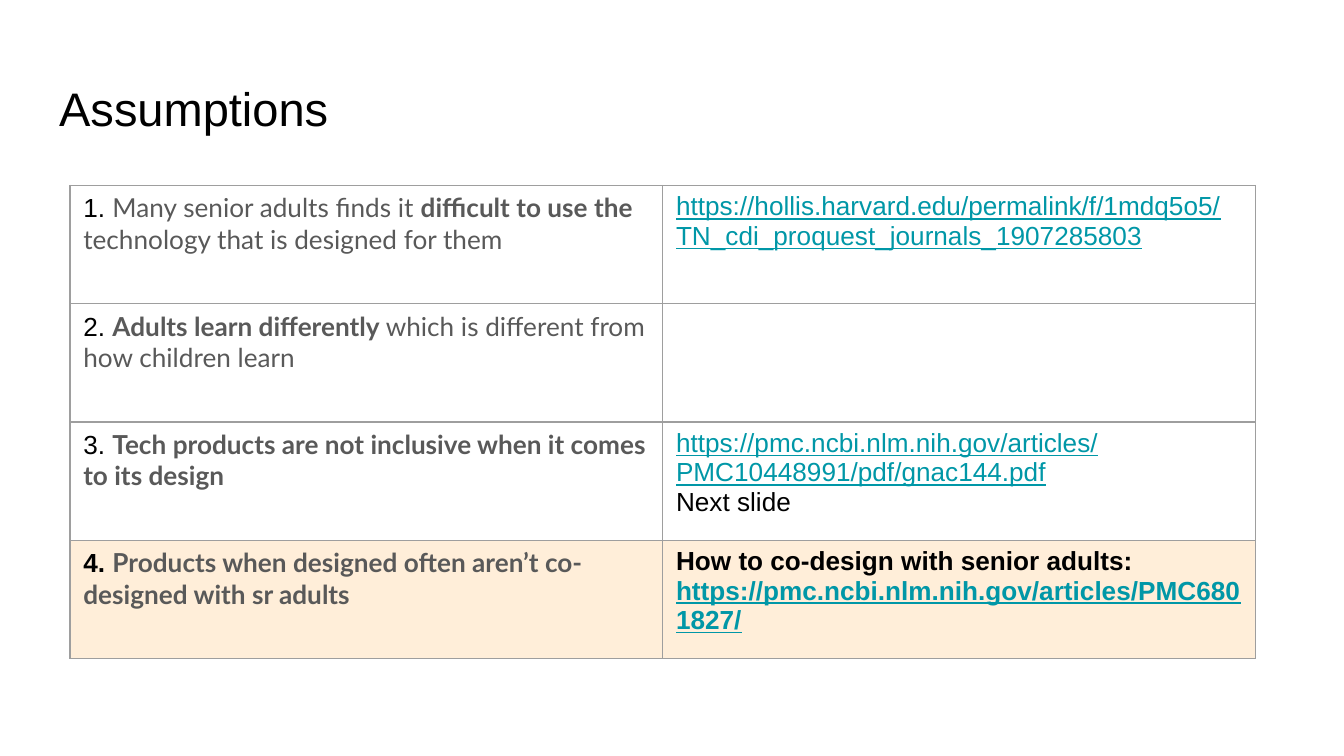
from dataclasses import dataclass

from lxml.etree import SubElement
from pptx import Presentation
from pptx.dml.color import RGBColor
from pptx.enum.text import MSO_ANCHOR, PP_ALIGN
from pptx.oxml.ns import qn
from pptx.util import Inches, Pt

COLORS = {
    "text": "000000",
    "body": "595959",
    "link": "0097A7",
    "border": "9E9E9E",
    "highlight": "FFEED9",
}
STYLES = {
    "plain": {"name": "Arial", "color": "text"},
    "body": {"name": "Lato", "color": "body"},
    "link": {"name": "Arial", "color": "link", "underline": True},
}


@dataclass
class Run:
    text: str
    style: str = "plain"
    bold: bool = False


@dataclass
class Row:
    assumption: list[Run]
    sources: list[list[Run]]
    highlight: bool = False


ROWS = [
    Row([Run("1. "), Run("Many senior adults finds it ", "body"),
         Run("difficult to use the ", "body", True),
         Run("technology that is designed for them", "body")],
        [[Run("https://hollis.harvard.edu/permalink/f/1mdq5o5/"
              "TN_cdi_proquest_journals_1907285803", "link")]]),
    Row([Run("2. "), Run("Adults learn differently ", "body", True),
         Run("which is different from how children learn", "body")],
        []),
    Row([Run("3. "),
         Run("Tech products are not inclusive when it comes to its design",
             "body", True)],
        [[Run("https://pmc.ncbi.nlm.nih.gov/articles/"
              "PMC10448991/pdf/gnac144.pdf", "link")],
         [Run("Next slide")]]),
    Row([Run("4. ", bold=True),
         Run("Products when designed often aren’t co-designed with sr adults",
             "body", True)],
        [[Run("How to co-design with senior adults: ", bold=True),
          Run("https://pmc.ncbi.nlm.nih.gov/articles/PMC6801827/",
              "link", True)]],
        highlight=True),
]


def add_run(p, run: Run, size: float) -> None:
    r = p.add_run()
    r.text = run.text
    values = {**STYLES[run.style], "size": Pt(size), "bold": run.bold}
    r.font.color.rgb = RGBColor.from_string(COLORS[values.pop("color")])
    for name, value in values.items():
        setattr(r.font, name, value)


def add_borders(cell) -> None:
    tc_pr = cell._tc.get_or_add_tcPr()
    for side in ("lnL", "lnR", "lnT", "lnB"):
        ln = SubElement(tc_pr, qn(f"a:{side}"), w=str(Pt(0.75)))
        fill = SubElement(ln, qn("a:solidFill"))
        SubElement(fill, qn("a:srgbClr"), val=COLORS["border"])


def fill_cell(cell, paragraphs: list[list[Run]], highlight: bool) -> None:
    add_borders(cell)
    if highlight:
        cell.fill.solid()
        cell.fill.fore_color.rgb = RGBColor.from_string(COLORS["highlight"])
    else:
        cell.fill.background()
    tf = cell.text_frame
    for i, runs in enumerate(paragraphs):
        p = tf.add_paragraph() if i else tf.paragraphs[0]
        for run in runs:
            add_run(p, run, 14)


def set_title(s, text: str) -> None:
    title = s.shapes.title
    box = {"left": 0.34, "top": 0.49, "width": 9.32, "height": 0.63}
    for name, value in box.items():
        setattr(title, name, Inches(value))
    tf = title.text_frame
    for side in ("left", "top", "right", "bottom"):
        setattr(tf, f"margin_{side}", Inches(0.1))
    tf.vertical_anchor = MSO_ANCHOR.MIDDLE
    p = tf.paragraphs[0]
    p.alignment = PP_ALIGN.LEFT
    add_run(p, Run(text), 25.2)


def add_assumptions(s, rows: list[Row]) -> None:
    table = s.shapes.add_table(len(rows), 2, Inches(0.52), Inches(1.38),
                               Inches(8.82), Inches(3.52)).table
    table.first_row = False
    table.horz_banding = False
    for i, row in enumerate(rows):
        for j, paragraphs in enumerate(([row.assumption], row.sources)):
            fill_cell(table.cell(i, j), paragraphs, row.highlight)


def main() -> None:
    prs = Presentation()
    prs.slide_width = Inches(10)
    prs.slide_height = prs.slide_width * 9 // 16
    s = prs.slides.add_slide(prs.slide_layouts[5])
    set_title(s, "Assumptions")
    add_assumptions(s, ROWS)
    prs.save("out.pptx")


if __name__ == "__main__":
    main()
